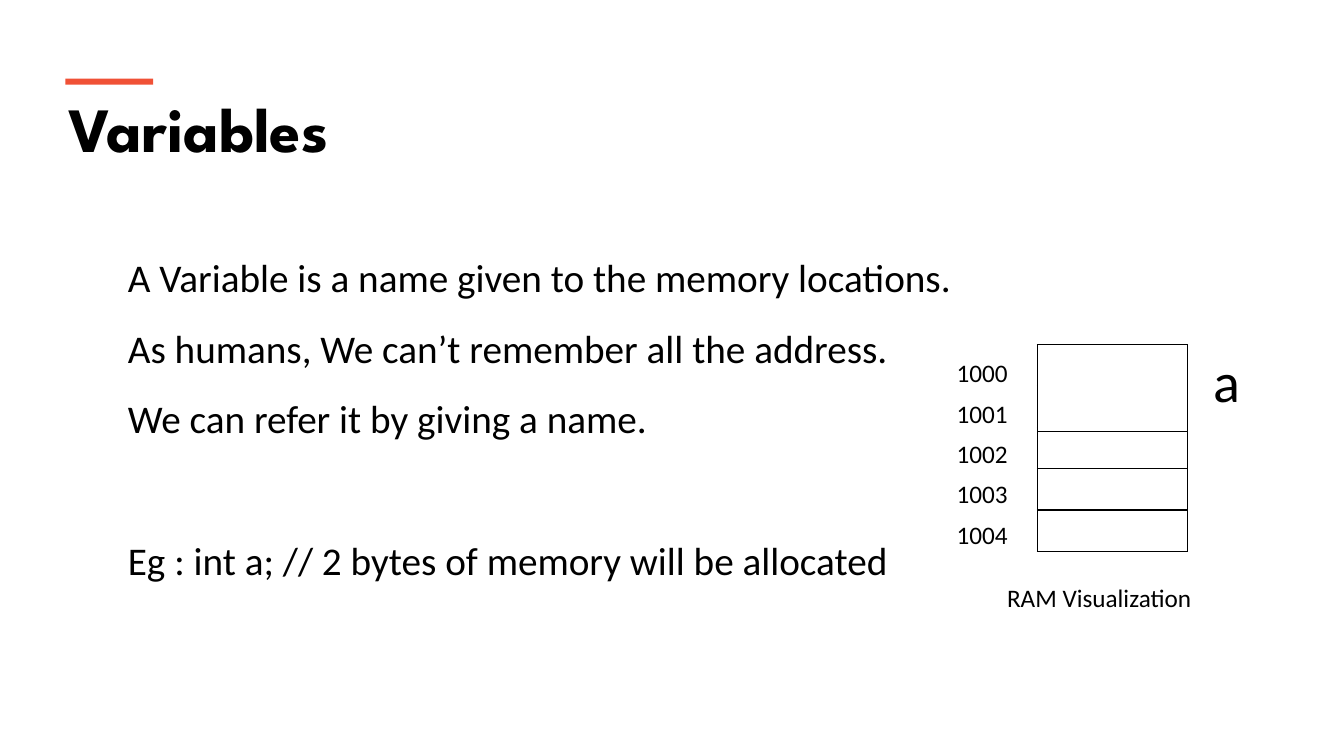
"""Build the slide that explains variables with a small memory table."""
from lxml import etree
from pptx import Presentation
from pptx.dml.color import RGBColor
from pptx.enum.shapes import MSO_SHAPE
from pptx.oxml.ns import qn
from pptx.util import Inches, Pt

RECT = MSO_SHAPE.RECTANGLE
BLACK = "000000"
WHITE = "FFFFFF"
RED = "F05136"
ROW = 0.41
LEFT, TOP, WIDTH = 10.29, 3.42, 1.49


def paint(color, code):
    color.rgb = RGBColor.from_string(code)


def write(lines, x, y, w, h, size, font="Calibri", bold=False):
    frame = slide.shapes.add_textbox(Inches(x), Inches(y), Inches(w), Inches(h)).text_frame
    frame.word_wrap = True
    for i, line in enumerate(lines):
        para = frame.paragraphs[0] if i == 0 else frame.add_paragraph()
        run = para.add_run()
        run.text = line
        run.font.name = font
        run.font.size = Pt(size)
        run.font.bold = bold
        paint(run.font.color, BLACK)
    return frame


deck = Presentation()
deck.slide_width = Inches(13.33)
deck.slide_height = Inches(7.5)
slide = deck.slides.add_slide(deck.slide_layouts[6])

write(["Variables"], 0.58, 0.84, 12.34, 0.86, 45, "League Spartan", True)

accent = slide.shapes.add_shape(RECT, Inches(0.65), Inches(0.78), Inches(0.87), Inches(0.06))
accent.shadow.inherit = False
accent.fill.solid()
paint(accent.fill.fore_color, RED)
accent.line.fill.background()

body = write([
    "A Variable is a name given to the memory locations.",
    "As humans, We can’t remember all the address.",
    "We can refer it by giving a name.",
    "Eg : int a; // 2 bytes of memory will be allocated",
], 1.17, 2.23, 8.45, 4.27, 28)
for para in body.paragraphs:
    para.line_spacing = 1.5
body.paragraphs[-1].space_before = Pt(51)

table = slide.shapes.add_table(
    5, 1, Inches(LEFT), Inches(TOP), Inches(WIDTH), Inches(5 * ROW)).table
table.first_row = False
table.horz_banding = False
for row in table.rows:
    row.height = Inches(ROW)
    cell = row.cells[0]
    props = cell._tc.get_or_add_tcPr()
    for side in ("lnL", "lnR", "lnT", "lnB"):
        edge = etree.SubElement(props, qn("a:" + side), w=str(Pt(1)))
        solid = etree.SubElement(edge, qn("a:solidFill"))
        etree.SubElement(solid, qn("a:srgbClr"), val=BLACK)
    cell.fill.background()

block = slide.shapes.add_shape(RECT, Inches(LEFT), Inches(TOP), Inches(WIDTH), Inches(0.86))
block.shadow.inherit = False
block.fill.solid()
paint(block.fill.fore_color, WHITE)
paint(block.line.color, BLACK)
block.line.width = Pt(1)

for i in range(5):
    write([str(1000 + i)], 9.39, 3.5 + 0.4 * i, 0.78, 0.4, 18)

write(["RAM Visualization"], 9.89, 5.73, 2.77, 0.4, 18)
write(["a"], 11.94, 3.39, 0.58, 0.77, 40)

deck.save("out.pptx")
